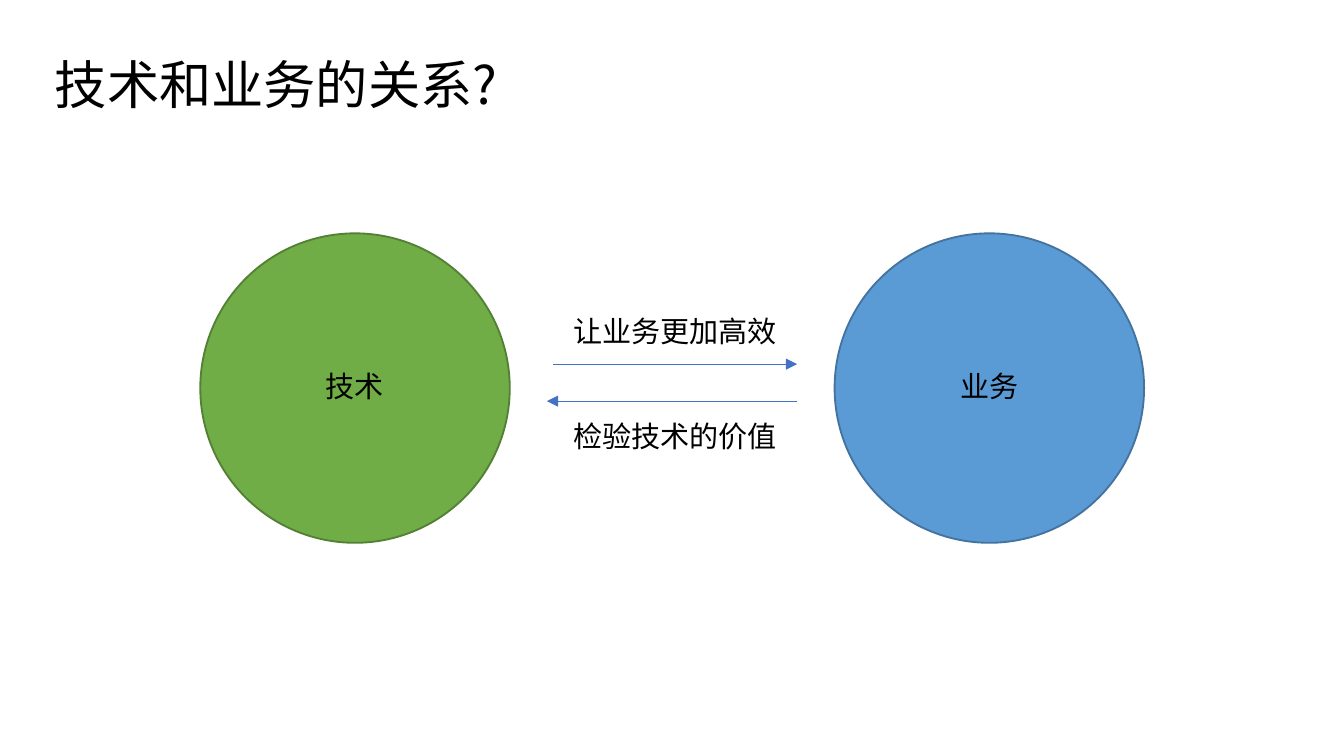
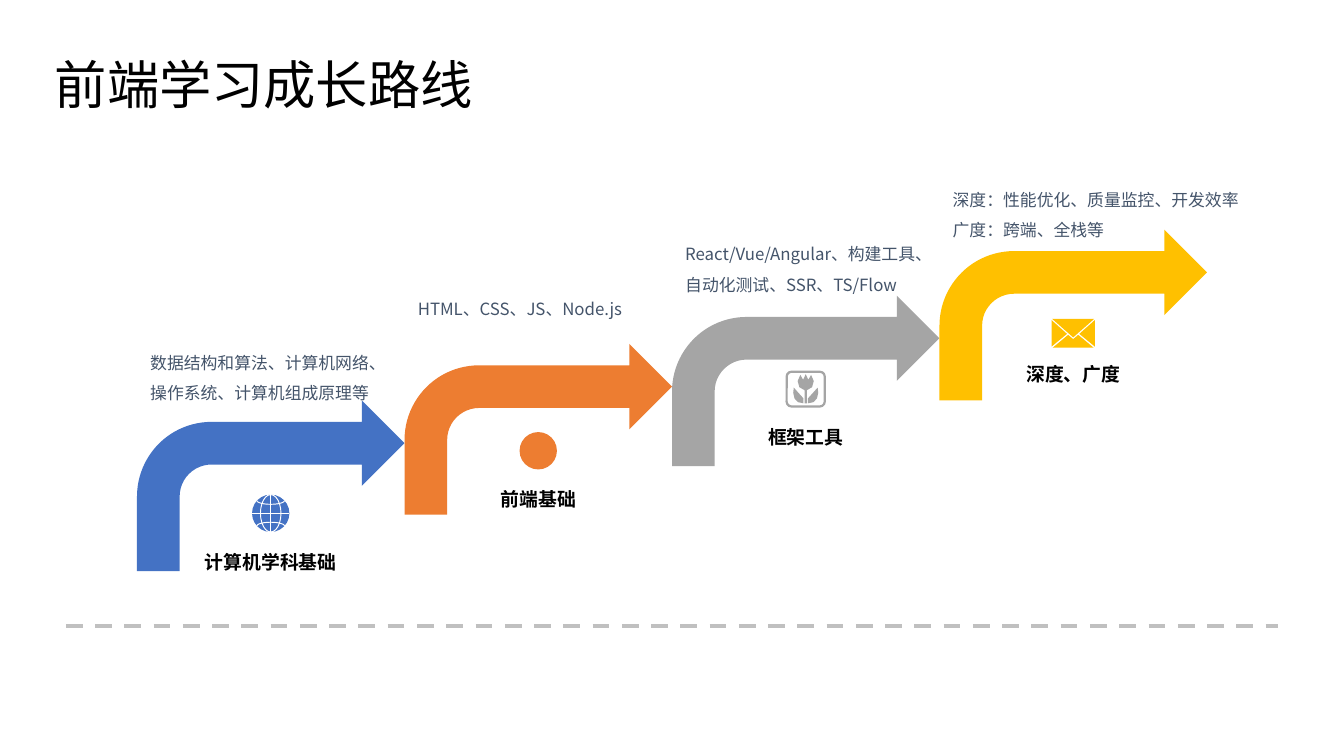
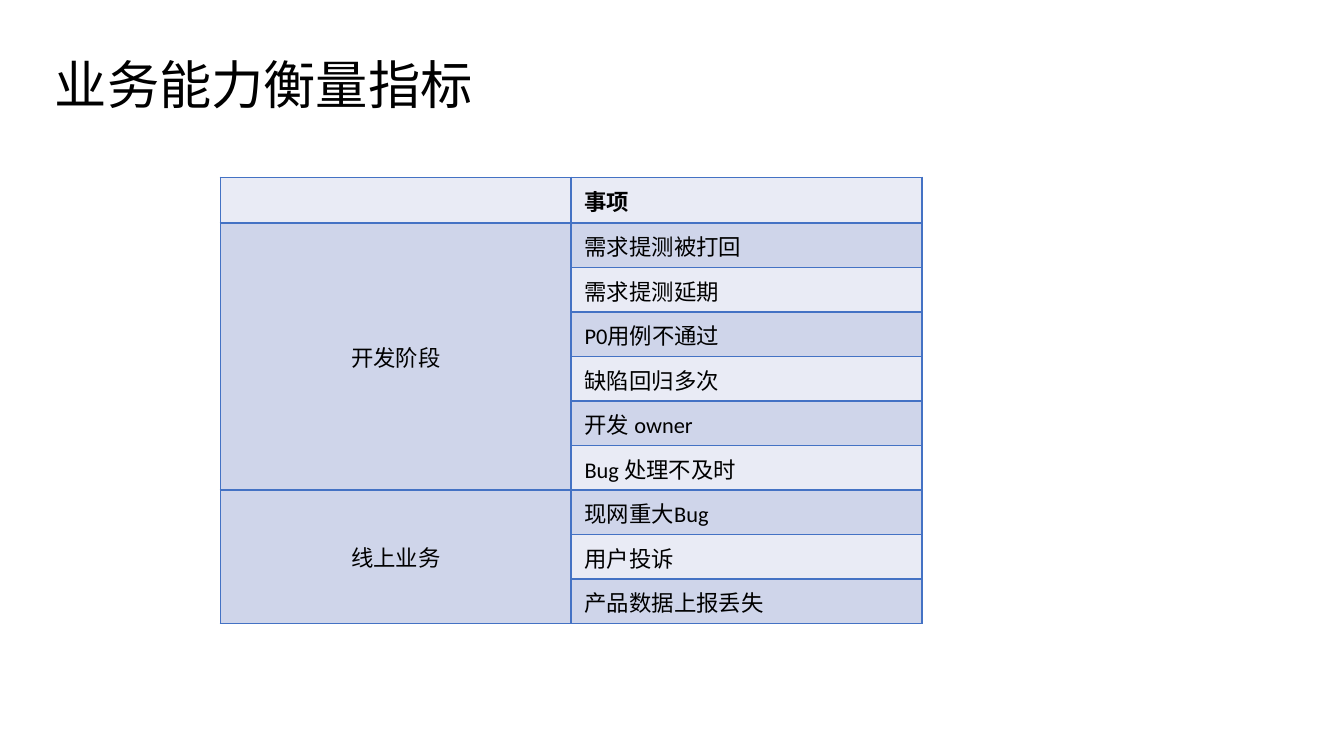
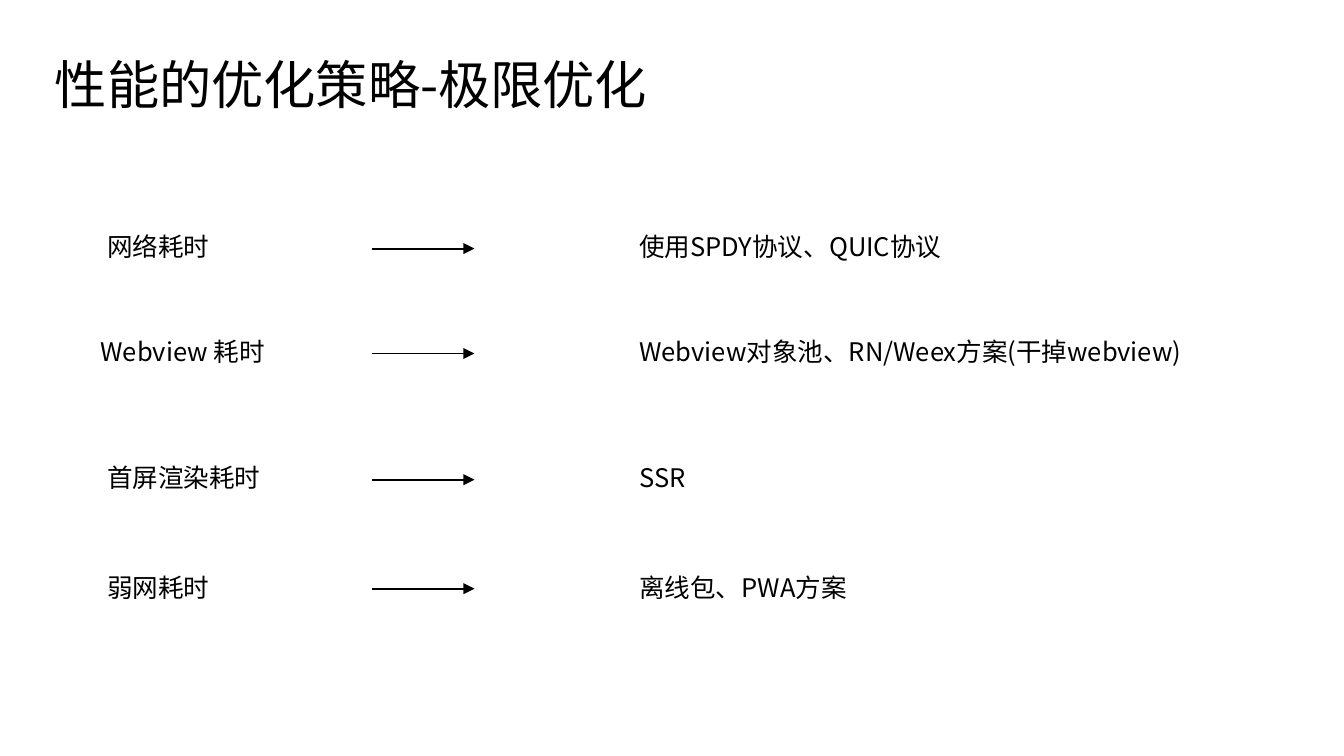
"""Builds four slides on front-end skills: relation, roadmap, metrics, optimisation."""
import math

from lxml import etree
from pptx import Presentation
from pptx import util as u
from pptx.dml import color
from pptx.enum import dml, shapes, text
from pptx.oxml import ns

Pt = u.Pt
FONT, TABLE_FONT = "Noto Sans CJK SC", "Calibri"
BLACK, WHITE, BLUE, SLATE = "000000", "FFFFFF", "4472C4", "44546A"
BAND_LIGHT, BAND_DARK, BASELINE_GREY = "E9EBF5", "CFD5EA", "C0C0C0"
CENTER = text.PP_ALIGN.CENTER
MIDDLE = text.MSO_ANCHOR.MIDDLE

RELATION_TITLE = "技术和业务的关系?"
CIRCLES = [("技术", 107.3, "70AD47", "538035"), ("业务", 447.1, "5B9BD5", "43739E")]
CIRCLE_TOP, CIRCLE_SIZE = 125, 165.8
EXCHANGES = [("让业务更加高效", 162, 195.1, 296.3, 427), ("检验技术的价值", 218.2, 214.9, 427, 293)]

ROADMAP_TITLE = "前端学习成长路线"
STAGES = [
    ("计算机学科基础", BLUE, 214.6, ["数据结构和算法、计算机网络、操作系统、计算机组成原理等"]),
    ("前端基础", "ED7D31", 184.3, ["HTML、CSS、JS、Node.js"]),
    ("框架工具", "A5A5A5", 158.4, ["React/Vue/Angular、构建工具、自动化测试、SSR、TS/Flow"]),
    ("深度、广度", "FFC000", 123.1, ["深度：性能优化、质量监控、开发效率", "广度：跨端、全栈等"]),
]
STAGE_LEFT, STAGE_WIDTH, STAGE_HEIGHT = 73.4, 143.3, 91.4
DETAIL_TOP, DETAIL_RISE = 180, 29.1
LABEL_TOP, LABEL_RISE = 291.6, 33.6
ICON_CENTERS = [275, 241.5, 208.5, 178.5]

METRICS_TITLE = "业务能力衡量指标"
METRICS_HEADER = "事项"
METRICS = [
    ("开发阶段", ["需求提测被打回", "需求提测延期", "P0用例不通过", "缺陷回归多次", "开发 owner", "Bug 处理不及时"]),
    ("线上业务", ["现网重大Bug", "用户投诉", "产品数据上报丢失"]),
]

STRATEGY_TITLE = "性能的优化策略-极限优化"
STRATEGIES = [
    ("网络耗时", 50.4, "使用SPDY协议、QUIC协议", 133.2),
    ("Webview 耗时", 46.8, "Webview对象池、RN/Weex方案(干掉webview)", 189.4),
    ("首屏渲染耗时", 50.4, "SSR", 257),
    ("弱网耗时", 50.4, "离线包、PWA方案", 315.4),
]


def rgb(value):
    return color.RGBColor.from_string(value)


def style(paragraph, size, shade=BLACK, font=FONT, bold=False, align=None, spacing=None):
    paragraph.font.size, paragraph.font.name, paragraph.font.bold = Pt(size), font, bold
    paragraph.font.color.rgb = rgb(shade)
    paragraph.alignment = align
    paragraph.line_spacing = spacing


def add_text(slide, lines, left, top, width, height, size, anchor=None, grow=False, **look):
    frame = slide.shapes.add_textbox(Pt(left), Pt(top), Pt(width), Pt(height)).text_frame
    frame.word_wrap = True
    frame.vertical_anchor = anchor
    if grow:
        frame.auto_size = text.MSO_AUTO_SIZE.SHAPE_TO_FIT_TEXT
    frame.text = "\n".join(lines)
    for paragraph in frame.paragraphs:
        style(paragraph, size, **look)


def paint(shape, fill=None, line=None, weight=1):
    shape.shadow.inherit = False
    if fill:
        shape.fill.solid()
        shape.fill.fore_color.rgb = rgb(fill)
    else:
        shape.fill.background()
    if line:
        shape.line.color.rgb, shape.line.width = rgb(line), Pt(weight)
    else:
        shape.line.fill.background()
    return shape


def add_preset(slide, preset, left, top, width, height, fill=None, line=None, weight=1):
    shape = slide.shapes.add_shape(preset, Pt(left), Pt(top), Pt(width), Pt(height))
    return paint(shape, fill, line, weight)


def add_line(slide, x1, y1, x2, y2, shade, weight, arrow=False):
    line = slide.shapes.add_connector(shapes.MSO_CONNECTOR.STRAIGHT, Pt(x1), Pt(y1), Pt(x2), Pt(y2))
    line.line.color.rgb, line.line.width = rgb(shade), Pt(weight)
    if arrow:
        etree.SubElement(line.line._get_or_add_ln(), ns.qn("a:tailEnd"), type="triangle")
    etree.SubElement(line._element.spPr, ns.qn("a:effectLst"))
    return line


def add_outline(slide, x, y, contours, close=True, **look):
    first, *others = [[(Pt(x + dx), Pt(y + dy)) for dx, dy in contour] for contour in contours]
    builder = slide.shapes.build_freeform(*first[0])
    builder.add_line_segments(first[1:], close)
    for contour in others:
        builder.move_to(*contour[0])
        builder.add_line_segments(contour[1:], close)
    return paint(builder.convert_to_shape(), **look)


def draw_globe(slide, x, y, shade):
    radius, meridian = 10, 5.5
    oval = shapes.MSO_SHAPE.OVAL
    add_preset(slide, oval, x - radius, y - radius, 2 * radius, 2 * radius, shade)
    add_preset(slide, oval, x - meridian, y - radius, 2 * meridian, 2 * radius, line=WHITE, weight=0.5)
    add_line(slide, x - radius, y, x + radius, y, WHITE, 0.5)
    add_line(slide, x, y - radius, x, y + radius, WHITE, 0.5)
    angles = [math.radians(step) for step in range(0, 181, 15)]
    parallels = [[(7.4 * math.cos(a), side * (6.8 - 2 * math.sin(a))) for a in angles] for side in (-1, 1)]
    add_outline(slide, x, y, parallels, close=False, line=WHITE, weight=0.5)


def draw_disc(slide, x, y, shade):
    add_preset(slide, shapes.MSO_SHAPE.OVAL, x - 10, y - 10, 20, 20, shade)


def draw_tulip(slide, x, y, shade):
    frame = add_preset(slide, shapes.MSO_SHAPE.ROUNDED_RECTANGLE, x - 10.2, y - 9.3, 20.4, 18.6, line=shade, weight=1.2)
    frame.adjustments[0] = 0.14
    bloom = [(-4.3, -4.3), (-2.9, -7.6), (-1.4, -5), (0, -8), (1.4, -5), (2.9, -7.6), (4.3, -4.3),
             (3.4, -1), (0.6, 0.6), (0.6, 7.6), (-0.6, 7.6), (-0.6, 0.6), (-3.4, -1)]
    leaf = [(6.4, -0.8), (1.2, 5), (1.2, 7.6), (4.2, 7), (6, 5), (6.7, 2)]
    add_outline(slide, x, y, [bloom, leaf, [(-dx, dy) for dx, dy in leaf]], fill=shade)


def draw_envelope(slide, x, y, shade):
    flap = [(-11.3, -7.7), (11.3, -7.7), (0, 2.3)]
    side = [(-11.6, -7), (-3.3, 0.4), (-11.6, 7.2)]
    base = [(-2.7, 0.9), (0, 3.2), (2.7, 0.9), (11, 7.8), (-11, 7.8)]
    add_outline(slide, x, y, [flap, side, [(-dx, dy) for dx, dy in side], base], fill=shade)


def new_slide(deck, title):
    slide = deck.slides.add_slide(deck.slide_layouts[6])
    add_text(slide, [title], 22.3, 24.5, 428.4, 41, 28, grow=True)
    return slide


def build_relation(deck):
    slide = new_slide(deck, RELATION_TITLE)
    label = dict(size=15.6, anchor=MIDDLE, align=CENTER, spacing=0.9)
    for name, left, fill, line in CIRCLES:
        add_preset(slide, shapes.MSO_SHAPE.OVAL, left, CIRCLE_TOP, CIRCLE_SIZE, CIRCLE_SIZE, fill, line)
        add_text(slide, [name], left + CIRCLE_SIZE / 2 - 29, 191.5, 58, 33, **label)
    for effect, top, y, start, end in EXCHANGES:
        add_line(slide, start, y, end, y, BLUE, 0.5, arrow=True)
        add_text(slide, [effect], 289.4, top, 144.7, 33, **label)


def build_roadmap(deck):
    slide = new_slide(deck, ROADMAP_TITLE)
    baseline = add_line(slide, 35.3, 335.5, 684.7, 335.5, BASELINE_GREY, 2.25)
    baseline.line.dash_style = dml.MSO_LINE.DASH
    icons = [draw_globe, draw_disc, draw_tulip, draw_envelope]
    for i, ((name, shade, top, details), draw_icon, icon_y) in enumerate(zip(STAGES, icons, ICON_CENTERS)):
        left = STAGE_LEFT + i * STAGE_WIDTH
        center = left + STAGE_WIDTH / 2
        add_preset(slide, shapes.MSO_SHAPE.BENT_ARROW, left, top, STAGE_WIDTH, STAGE_HEIGHT, shade)
        draw_icon(slide, center, icon_y, shade)
        add_text(slide, [name], center - 44.6, LABEL_TOP - i * LABEL_RISE, 89.2, 19.4, 10.1,
                 grow=True, bold=True, align=CENTER)
        width = 168 if len(details) > 1 else STAGE_WIDTH
        height = 21.6 if i == 1 else 38.2
        add_text(slide, details, left, DETAIL_TOP - i * DETAIL_RISE, width, height, 9,
                 grow=True, shade=SLATE, spacing=1.5)


def add_borders(cell):
    properties = cell._tc.get_or_add_tcPr()
    for i, side in enumerate(("lnL", "lnR", "lnT", "lnB")):
        border = etree.Element(ns.qn("a:" + side), w=str(Pt(1)))
        fill = etree.SubElement(border, ns.qn("a:solidFill"))
        etree.SubElement(fill, ns.qn("a:srgbClr"), val=BLUE)
        properties.insert(i, border)


def build_metrics(deck):
    slide = new_slide(deck, METRICS_TITLE)
    rows = [("", METRICS_HEADER)]
    spans = []
    for phase, items in METRICS:
        spans.append((len(rows), len(rows) + len(items) - 1))
        rows += [(phase if i == 0 else "", item) for i, item in enumerate(items)]
    table = slide.shapes.add_table(len(rows), 2, Pt(118.1), Pt(95), Pt(375.8), Pt(239)).table
    for column in table.columns:
        column.width = Pt(187.9)
    for r, values in enumerate(rows):
        table.rows[r].height = Pt(23.85 if r else 24.4)
        for c, value in enumerate(values):
            cell = table.cell(r, c)
            cell.text = value
            if not value:
                cell.margin_top = cell.margin_bottom = 0
            in_phase = c == 0 and r > 0
            style(cell.text_frame.paragraphs[0], 12, font=TABLE_FONT, bold=r == 0,
                  align=CENTER if in_phase else None)
            cell.vertical_anchor = MIDDLE if in_phase else None
            cell.fill.solid()
            cell.fill.fore_color.rgb = rgb(BAND_DARK if in_phase or r % 2 else BAND_LIGHT)
            add_borders(cell)
    for first, last in spans:
        table.cell(first, 0).merge(table.cell(last, 0))


def build_strategy(deck):
    slide = new_slide(deck, STRATEGY_TITLE)
    for cost, left, remedy, y in STRATEGIES:
        add_text(slide, [cost], left, y - 16.5, 140, 33, 13.7, anchor=MIDDLE, spacing=0.9)
        add_line(slide, 199.4, y, 254.2, y, BLACK, 1, arrow=True)
        add_text(slide, [remedy], 335.5, y - 16.5, 347.8, 33, 13.7, anchor=MIDDLE, spacing=0.9)


def main():
    deck = Presentation()
    deck.slide_width, deck.slide_height = Pt(720), Pt(405)
    for build in (build_relation, build_roadmap, build_metrics, build_strategy):
        build(deck)
    deck.save("out.pptx")


if __name__ == "__main__":
    main()
